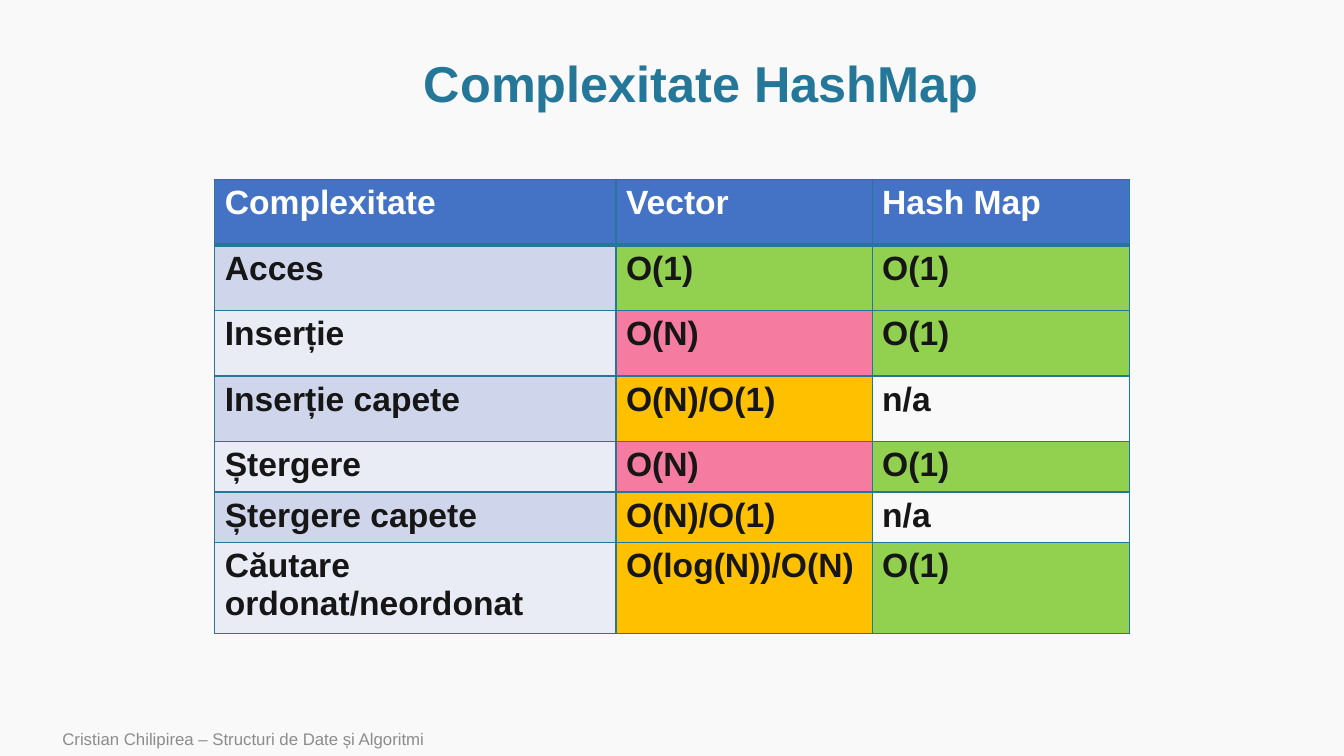
from lxml import etree
from pptx import Presentation
from pptx.dml.color import RGBColor
from pptx.enum.text import MSO_ANCHOR, PP_ALIGN
from pptx.oxml.ns import qn
from pptx.util import Inches, Pt

MIDDLE = MSO_ANCHOR.MIDDLE
LEFT, CENTER = PP_ALIGN.LEFT, PP_ALIGN.CENTER

FONT = "Arial"
COLORS = {
    "background": "F9F9F9",
    "teal": "247798",
    "footer": "8C8C8C",
    "header": "4472C4",
    "white": "FFFFFF",
    "ink": "171616",
    "odd": "CFD5EA",
    "even": "E9EBF5",
    "good": "92D050",
    "bad": "F57BA1",
    "mixed": "FFC000",
}
TITLE = "Complexitate HashMap"
FOOTER = "Cristian Chilipirea – Structuri de Date și Algoritmi"
ROWS = [
    ("Complexitate", "Vector", "Hash Map"),
    ("Acces", "O(1)", "O(1)"),
    ("Inserție", "O(N)", "O(1)"),
    ("Inserție capete", "O(N)/O(1)", "n/a"),
    ("Ștergere", "O(N)", "O(1)"),
    ("Ștergere capete", "O(N)/O(1)", "n/a"),
    ("Căutare ordonat/neordonat", "O(log(N))/O(N)", "O(1)"),
]
RATINGS = {
    "O(1)": "good",
    "O(N)": "bad",
    "O(N)/O(1)": "mixed",
    "O(log(N))/O(N)": "mixed",
    "n/a": "background",
}
COLUMN_WIDTHS = [3.98, 2.54, 2.55]
ROW_HEIGHTS = [0.65] * 4 + [0.32] * 3


def color(name):
    return RGBColor.from_string(COLORS[name])


def style(para, size, color_name, bold):
    para.font.name = FONT
    para.font.size = Pt(size)
    para.font.bold = bold
    para.font.color.rgb = color(color_name)


def add_text(page, place, text, size, color_name, bold, align):
    box = page.shapes.add_textbox(*map(Inches, place))
    box.text_frame.word_wrap = True
    box.text_frame.vertical_anchor = MIDDLE
    para = box.text_frame.paragraphs[0]
    para.text = text
    para.alignment = align
    style(para, size, color_name, bold)
    return para


def add_borders(cell, row):
    widths = {"L": 1, "R": 1, "T": 3 if row == 1 else 1, "B": 3 if row == 0 else 1}
    properties = cell._tc.get_or_add_tcPr()
    for side, width in widths.items():
        line = etree.SubElement(properties, qn(f"a:ln{side}"), w=str(Pt(width)))
        fill = etree.SubElement(line, qn("a:solidFill"))
        etree.SubElement(fill, qn("a:srgbClr"), val=COLORS["teal"])


def cell_fill(row, column, text):
    if row == 0:
        return "header"
    if column == 0:
        return "odd" if row % 2 else "even"
    return RATINGS[text]


def add_complexity_table(page):
    frame = page.shapes.add_table(
        len(ROWS), len(COLUMN_WIDTHS), Inches(2.13), Inches(1.78),
        Inches(sum(COLUMN_WIDTHS)), Inches(sum(ROW_HEIGHTS)))
    table = frame.table
    for column, width in zip(table.columns, COLUMN_WIDTHS):
        column.width = Inches(width)
    for row, height in zip(table.rows, ROW_HEIGHTS):
        row.height = Inches(height)
    for row, texts in enumerate(ROWS):
        for column, text in enumerate(texts):
            cell = table.cell(row, column)
            cell.text = text
            style(cell.text_frame.paragraphs[0], 24, "ink" if row else "white", True)
            add_borders(cell, row)
            cell.fill.solid()
            cell.fill.fore_color.rgb = color(cell_fill(row, column, text))


def main():
    deck = Presentation()
    deck.slide_width, deck.slide_height = Inches(13.33), Inches(7.5)
    page = deck.slides.add_slide(deck.slide_layouts[6])
    page.background.fill.solid()
    page.background.fill.fore_color.rgb = color("background")
    add_text(page, (0.52, 7.16, 8.4, 0.34), FOOTER, 12, "footer", False, LEFT)
    title = add_text(page, (1.14, 0.51, 11.63, 0.69), TITLE, 36, "teal", True, CENTER)
    title.line_spacing = 0.9
    add_complexity_table(page)
    deck.save("out.pptx")


if __name__ == "__main__":
    main()
